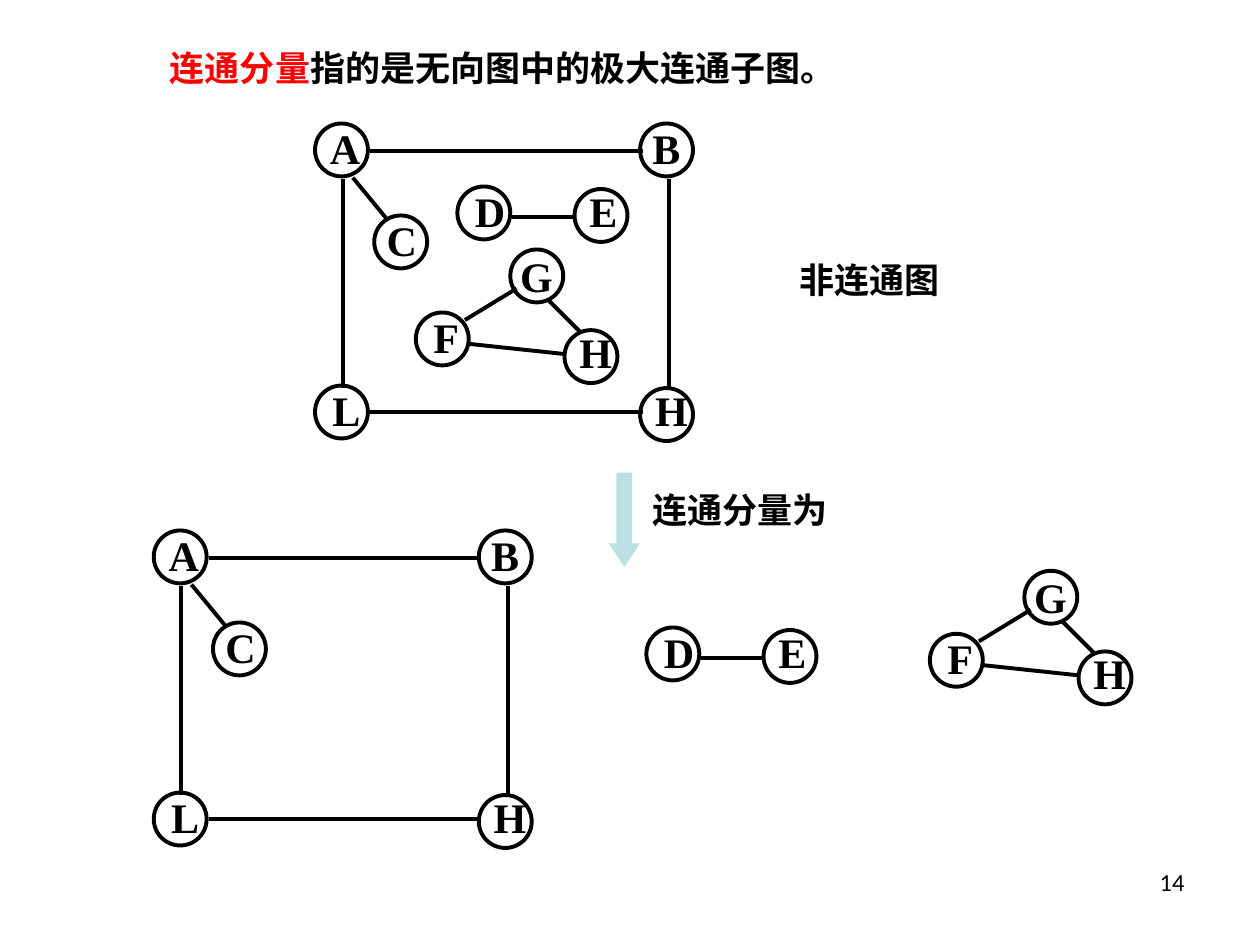
import lxml.etree
import pptx
import pptx.dml.color
import pptx.enum.shapes
import pptx.enum.text
import pptx.oxml.ns
import pptx.util

COLUMNS, ROWS = 1000, 750
NODE_SIZE = 42
SHAPE = pptx.enum.shapes.MSO_SHAPE
ALIGN = pptx.enum.text.PP_ALIGN

# Vertices: letter, column, row, letter shift across and down. Edges: two end points.
SQUARE = (
    [("A", 0, 0, 2, -6), ("B", 258, 0, 0, -6), ("C", 47, 73, 0, -6),
     ("L", 0, 208, 4, -6), ("H", 258, 210, 2, -8)],
    [(44, 22, 260, 22), (44, 229, 260, 229), (22, 44, 22, 210),
     (281, 44, 281, 210), (30, 43, 58, 77)],
)
PAIR = (
    [("D", 0, 0, 4, -6), ("E", 93, 2, 2, -8)],
    [(43, 24, 93, 24)],
)
TRIANGLE = (
    [("F", 0, 50, 4, -6), ("G", 75, 0, -2, -4), ("H", 118, 64, 2, -8)],
    [(39, 56, 80, 31), (43, 75, 118, 83), (105, 40, 130, 65)],
)


def rgb(value):
    """Turn a hex string into a colour."""
    return pptx.dml.color.RGBColor.from_string(value)


def add_run(paragraph, text, size=20, font="Times New Roman", color="000000", bold=True):
    """Add a formatted run to a paragraph."""
    run = paragraph.add_run()
    run.text = text
    run.font.size = pptx.util.Pt(size)
    run.font.bold = bold
    run.font.color.rgb = rgb(color)
    run.font.name = font
    east_asian = lxml.etree.SubElement(run.font._element, pptx.oxml.ns.qn("a:ea"))
    east_asian.set("typeface", "Noto Sans CJK SC")


class GraphSlide:
    """Hold the style, the slide and the layer being drawn on."""

    ink = "000000"
    stroke = 2.25

    def __init__(self, deck):
        """Start a blank slide measured in columns and rows."""
        self.slide = deck.slides.add_slide(deck.slide_layouts[6])
        self.layer = self.slide.shapes
        self.column = deck.slide_width / COLUMNS
        self.row = deck.slide_height / ROWS

    def place(self, *lengths):
        """Convert alternating columns and rows to slide units."""
        return [round(length * (self.row if i % 2 else self.column))
                for i, length in enumerate(lengths)]

    def group(self):
        """Draw the next elements in a new group."""
        self.layer = self.slide.shapes.add_group_shape().shapes

    def ungroup(self):
        """Draw the next elements directly on the slide."""
        self.layer = self.slide.shapes

    def text(self, x, y, width, height, *runs, align=ALIGN.LEFT, grow=True):
        """Add a text box made of (text, format) runs."""
        frame = self.layer.add_textbox(*self.place(x, y, width, height)).text_frame
        frame.word_wrap = True
        if grow:
            frame.auto_size = pptx.enum.text.MSO_AUTO_SIZE.SHAPE_TO_FIT_TEXT
        paragraph = frame.paragraphs[0]
        paragraph.alignment = align
        for content, style in runs:
            add_run(paragraph, content, **style)

    def vertex(self, letter, x, y, shift_x, shift_y):
        """Add a circle with its letter."""
        circle = self.layer.add_shape(SHAPE.OVAL, *self.place(x, y, NODE_SIZE, NODE_SIZE))
        circle.shadow.inherit = False
        circle.fill.background()
        circle.line.color.rgb = rgb(self.ink)
        circle.line.width = pptx.util.Pt(self.stroke)
        self.text(x + shift_x, y + shift_y, 75, 50, (letter, {"size": 24}))

    def edge(self, x1, y1, x2, y2):
        """Add a straight line between two points."""
        line = self.layer.add_connector(
            pptx.enum.shapes.MSO_CONNECTOR.STRAIGHT, *self.place(x1, y1, x2, y2))
        line.line.color.rgb = rgb(self.ink)
        line.line.width = pptx.util.Pt(self.stroke)
        lxml.etree.SubElement(line._element.spPr, pptx.oxml.ns.qn("a:effectLst"))

    def arrow(self, x, y, width, height, color):
        """Add a downward block arrow."""
        arrow = self.layer.add_shape(SHAPE.DOWN_ARROW, *self.place(x, y, width, height))
        arrow.shadow.inherit = False
        arrow.adjustments[0], arrow.adjustments[1] = 0.5, 0.75
        arrow.fill.solid()
        arrow.fill.fore_color.rgb = rgb(color)
        arrow.line.fill.background()

    def graph(self, *placements):
        """Add one group of components, each at its own origin."""
        self.group()
        for (vertices, _), x, y in placements:
            for letter, column, row, shift_x, shift_y in vertices:
                self.vertex(letter, x + column, y + row, shift_x, shift_y)
        for (_, edges), x, y in placements:
            for x1, y1, x2, y2 in edges:
                self.edge(x + x1, y + y1, x + x2, y + y2)
        self.ungroup()


def main():
    """Build the slide on connected components."""
    deck = pptx.Presentation()
    deck.slide_width = pptx.util.Inches(10)
    deck.slide_height = pptx.util.Inches(7.5)
    page = GraphSlide(deck)

    page.text(717, 683, 233, 52, ("14", {"size": 14, "font": "Calibri", "bold": False}),
              align=ALIGN.RIGHT, grow=False)
    page.text(125, 32, 742, 44,
              ("连通分量", {"font": "Noto Sans CJK SC", "color": "FF0000"}),
              ("指的是无向图中的极大连通子图。", {"font": "Noto Sans CJK SC"}))

    page.graph((SQUARE, 250, 98), (PAIR, 363, 148), (TRIANGLE, 330, 198))
    page.text(625, 200, 233, 44, ("非连通图", {}))

    page.group()
    page.arrow(483, 375, 25, 75, "BBE0E3")
    page.text(508, 383, 208, 44, ("连通分量为", {}))
    page.ungroup()

    for component in ((SQUARE, 122, 421), (PAIR, 513, 498), (TRIANGLE, 738, 453)):
        page.graph(component)

    deck.save("out.pptx")


if __name__ == "__main__":
    main()
